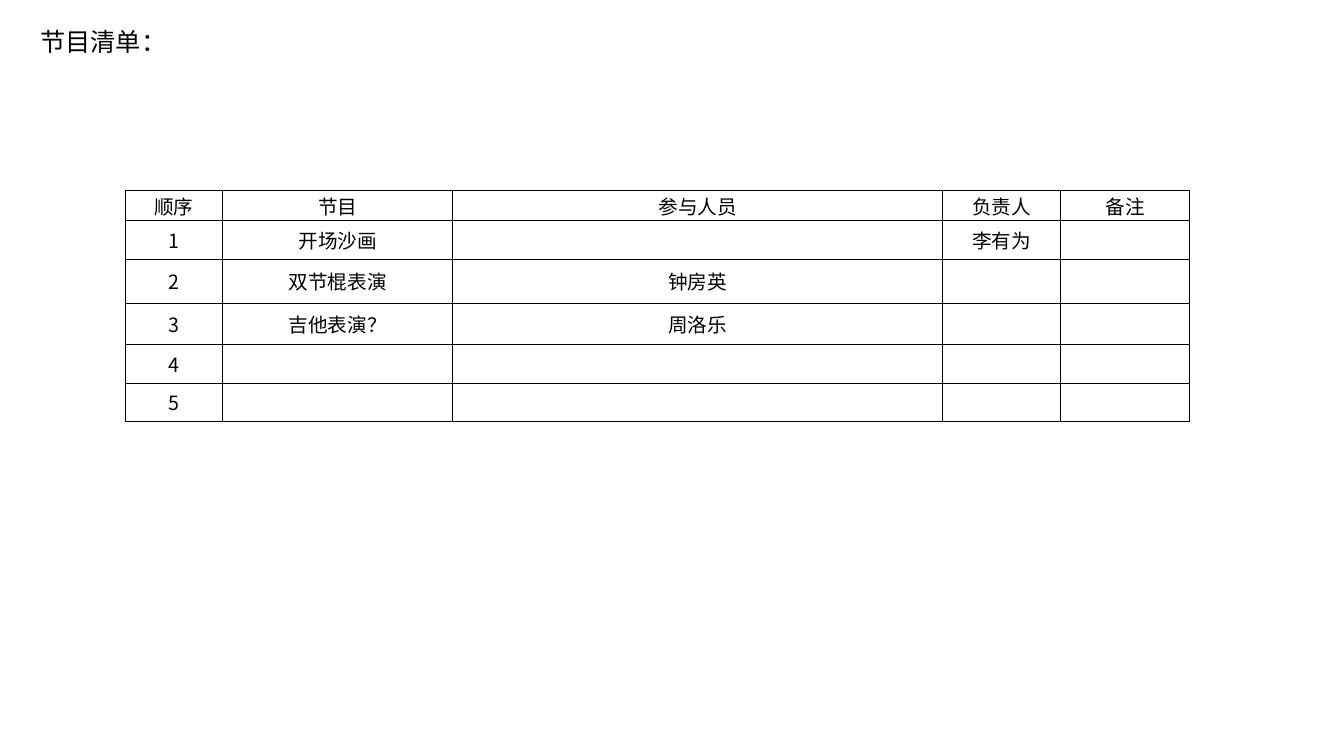
from dataclasses import dataclass

from lxml import etree
from pptx import Presentation
from pptx.dml.color import RGBColor
from pptx.enum.text import MSO_ANCHOR, MSO_AUTO_SIZE, PP_ALIGN
from pptx.oxml.ns import qn
from pptx.util import Inches, Pt

LEFT, CENTER = PP_ALIGN.LEFT, PP_ALIGN.CENTER
TOP, MIDDLE = MSO_ANCHOR.TOP, MSO_ANCHOR.MIDDLE
GROW = MSO_AUTO_SIZE.SHAPE_TO_FIT_TEXT
TITLE_ONLY = 5
BLACK = "000000"
CJK_FONT = "Noto Sans CJK SC"


@dataclass
class Row:
    height: float
    order: str
    program: str = ""
    performers: str = ""
    leader: str = ""
    remark: str = ""

    def texts(self) -> tuple[str, ...]:
        return self.order, self.program, self.performers, self.leader, self.remark


COL_WIDTHS = (0.97, 2.28, 4.86, 1.17, 1.28)
ROWS = (
    Row(0.3, "顺序", "节目", "参与人员", "负责人", "备注"),
    Row(0.38, "1", "开场沙画", leader="李有为"),
    Row(0.44, "2", "双节棍表演", "钟房英"),
    Row(0.41, "3", "吉他表演？", "周洛乐"),
    Row(0.38, "4"),
    Row(0.38, "5"),
)


def color(value: str) -> RGBColor:
    return RGBColor.from_string(value)


def format_paragraph(p, size: float, font: str, align) -> None:
    p.alignment = align
    p.font.size = Pt(size)
    p.font.name = font
    p.font.color.rgb = color(BLACK)
    for props in p._p.xpath("a:pPr/a:defRPr"):
        etree.SubElement(props, qn("a:ea"), typeface=CJK_FONT)


def add_borders(cell, width: float) -> None:
    tcPr = cell._tc.get_or_add_tcPr()
    for side in ("lnL", "lnR", "lnT", "lnB"):
        ln = etree.SubElement(tcPr, qn(f"a:{side}"), w=str(Pt(width)))
        fill = etree.SubElement(ln, qn("a:solidFill"))
        etree.SubElement(fill, qn("a:srgbClr"), val=BLACK)


def add_title(s, text: str) -> None:
    title = s.shapes.title
    title.left, title.top = Inches(0.3), Inches(0.21)
    title.width, title.height = Inches(3.37), Inches(0.4)
    tf = title.text_frame
    tf.text = text
    tf.word_wrap = True
    tf.auto_size = GROW
    tf.vertical_anchor = TOP
    format_paragraph(tf.paragraphs[0], 18, "Calibri", LEFT)


def fill_cell(cell, text: str) -> None:
    cell.text = text
    cell.vertical_anchor = MIDDLE
    cell.margin_left = cell.margin_right = cell.margin_top = cell.margin_bottom = 0
    format_paragraph(cell.text_frame.paragraphs[0], 14, CJK_FONT, CENTER)
    add_borders(cell, 0.5)
    cell.fill.background()


def add_program_table(s, left: float, top: float) -> None:
    width, height = sum(COL_WIDTHS), sum(row.height for row in ROWS)
    table = s.shapes.add_table(len(ROWS), len(COL_WIDTHS), Inches(left), Inches(top),
                               Inches(width), Inches(height)).table
    table.first_row = table.horz_banding = False
    for column, col_width in zip(table.columns, COL_WIDTHS):
        column.width = Inches(col_width)
    for table_row, row in zip(table.rows, ROWS):
        table_row.height = Inches(row.height)
        for cell, text in zip(table_row.cells, row.texts()):
            fill_cell(cell, text)


def main() -> None:
    """Build the programme list slide."""
    prs = Presentation()
    prs.slide_width, prs.slide_height = Inches(13.33), Inches(7.5)
    s = prs.slides.add_slide(prs.slide_layouts[TITLE_ONLY])
    add_title(s, "节目清单：")
    add_program_table(s, 1.24, 1.89)
    prs.save("out.pptx")


if __name__ == "__main__":
    main()
